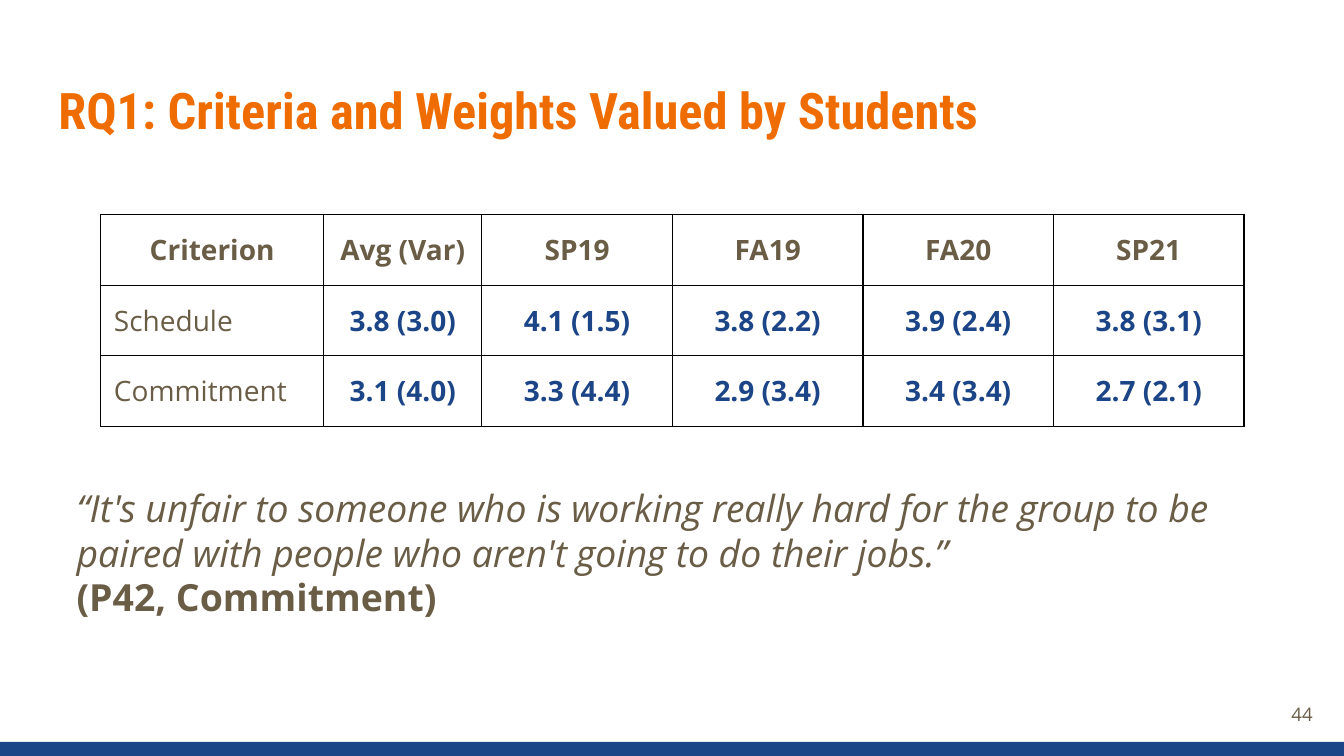
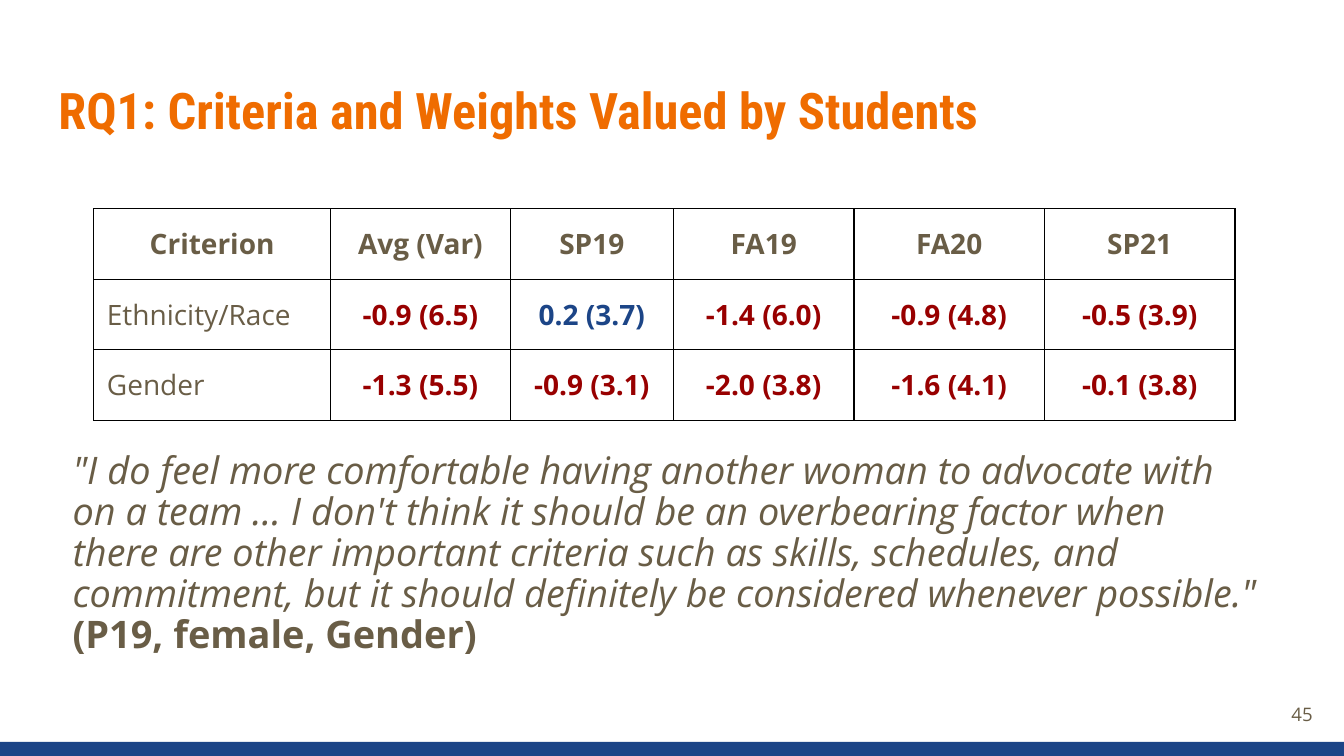
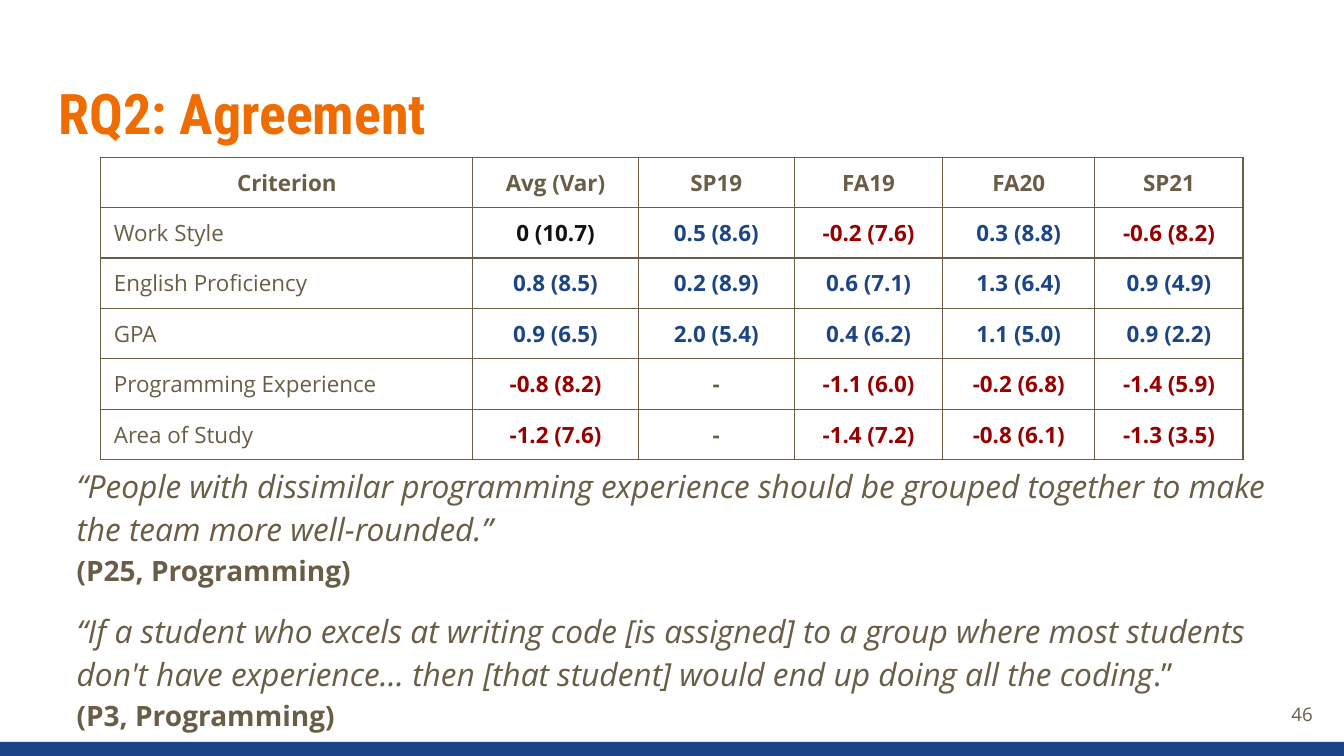
"""Build three slides on the criteria and weights that students value."""
import dataclasses

import lxml.etree
import pptx
import pptx.dml.color
import pptx.enum.shapes
import pptx.enum.text
import pptx.oxml.ns
import pptx.util

SCALE = 9144
INSET = 13
ALIGN = pptx.enum.text.PP_ALIGN
ANCHOR = pptx.enum.text.MSO_ANCHOR
HEADS = ["Criterion", "Avg (Var)", "SP19", "FA19", "FA20", "SP21"]


@dataclasses.dataclass(frozen=True)
class Theme:
    """Hold the colours, fonts and type sizes of the deck."""
    ink: str = "695D46"
    title: str = "EF6C00"
    plus: str = "1C4587"
    minus: str = "980000"
    zero: str = "111111"
    grid: str = "000000"
    head: str = "Roboto Condensed"
    body: str = "Open Sans"
    big: float = 40
    mid: float = 36
    cell: float = 20
    small: float = 16
    page: float = 13.3


THEME = Theme()


def px(*sizes):
    """Turn pixel lengths into EMU."""
    return [pptx.util.Emu(size * SCALE) for size in sizes]


def rgb(code):
    """Turn a hex code into a colour."""
    return pptx.dml.color.RGBColor.from_string(code)


def style(font, size, color=THEME.ink, name=THEME.body, bold=False, slant=False):
    """Set the look of a font."""
    font.name, font.size = name, pptx.util.Pt(size)
    font.bold, font.italic = bold, slant
    font.color.rgb = rgb(color)


def frame(shape, anchor=ANCHOR.TOP):
    """Give a shape's text frame the shared insets and return it."""
    text = shape.text_frame
    text.word_wrap = True
    text.auto_size = pptx.enum.text.MSO_AUTO_SIZE.NONE
    text.vertical_anchor = anchor
    (text.margin_left, text.margin_top,
     text.margin_right, text.margin_bottom) = px(*[INSET] * 4)
    return text


def start(deck, title, size, page):
    """Add a slide with its title, bottom band and page number."""
    slide = deck.slides.add_slide(deck.slide_layouts[5])
    head = slide.shapes.title
    head.left, head.top, head.width, head.height = px(45, 65, 1242, 103)
    para = frame(head).paragraphs[0]
    para.text, para.alignment = title, ALIGN.LEFT
    style(para.font, size, THEME.title, THEME.head, bold=True)

    band = slide.shapes.add_shape(
        pptx.enum.shapes.MSO_SHAPE.RECTANGLE, *px(0, 736, 1334, 14))
    band.shadow.inherit = False
    band.fill.solid()
    band.fill.fore_color.rgb = rgb(THEME.plus)
    band.line.fill.background()

    box = slide.shapes.add_textbox(*px(1235, 680, 80, 57))
    para = frame(box, ANCHOR.MIDDLE).paragraphs[0]
    para.text, para.alignment = str(page), ALIGN.RIGHT
    style(para.font, THEME.page)
    return slide


def border(cell, color):
    """Draw a one point line on each side of a cell."""
    props = cell._tc.get_or_add_tcPr()
    for spot, side in enumerate(("lnL", "lnR", "lnT", "lnB")):
        line = lxml.etree.Element(pptx.oxml.ns.qn("a:" + side), w="12700")
        fill = lxml.etree.SubElement(line, pptx.oxml.ns.qn("a:solidFill"))
        lxml.etree.SubElement(fill, pptx.oxml.ns.qn("a:srgbClr"), val=color)
        props.insert(spot, line)


def tint(value):
    """Choose a colour by the sign of a value."""
    if value == "-":
        return THEME.ink
    if value.startswith("0 "):
        return THEME.zero
    return THEME.minus if value.startswith("-") else THEME.plus


def grid(slide, left, top, widths, height, rows, size, color, pad):
    """Add a table of criteria under the shared heads."""
    rows = [HEADS] + rows
    shape = slide.shapes.add_table(
        len(rows), len(HEADS),
        *px(left, top, sum(widths), height * len(rows)))
    table = shape.table
    table.first_row = table.horz_banding = False
    for col, width in zip(table.columns, px(*widths)):
        col.width = width
    for y, row in enumerate(rows):
        table.rows[y].height = px(height)[0]
        for x, value in enumerate(row):
            cell = table.cell(y, x)
            cell.fill.background()
            border(cell, color)
            cell.vertical_anchor = ANCHOR.MIDDLE
            cell.margin_left, cell.margin_right = px(INSET, INSET)
            cell.margin_top, cell.margin_bottom = px(pad, pad)
            label = x == 0 and y > 0
            para = cell.text_frame.paragraphs[0]
            para.text = value
            para.alignment = ALIGN.LEFT if label else ALIGN.CENTER
            shade = tint(value) if x and y else THEME.ink
            style(para.font, size, shade, bold=not label)


def quote(slide, place, notes, size, small, space):
    """Add quotes, each with an upright tail and its bold source."""
    text = frame(slide.shapes.add_textbox(*px(*place)))
    for spot, (words, tail, source) in enumerate(notes):
        para = text.add_paragraph() if spot else text.paragraphs[0]
        para.line_spacing = space
        para.space_before = pptx.util.Pt(13.3 if spot else 0)
        para.add_run().text = words
        style(para.font, size, slant=True)
        if tail:
            run = para.add_run()
            run.text, run.font.italic = tail, False
        para = text.add_paragraph()
        para.text, para.line_spacing = source, space
        style(para.font, small, bold=True)


def main():
    """Build and save the deck."""
    deck = pptx.Presentation()
    deck.slide_width, deck.slide_height = px(1333, 750)
    weights = "RQ1: Criteria and Weights Valued by Students"

    slide = start(deck, weights, THEME.mid, 44)
    quote(slide, (63, 468, 1224, 198), [
        ("“It's unfair to someone who is working really hard for the group "
         "to be paired with people who aren't going to do their jobs.”",
         "", "(P42, Commitment)"),
    ], 26.7, 26.7, 1.0)
    grid(slide, 100, 213, [221, 157] + [189] * 4, 70, [
        ["Schedule", "3.8 (3.0)", "4.1 (1.5)", "3.8 (2.2)", "3.9 (2.4)", "3.8 (3.1)"],
        ["Commitment", "3.1 (4.0)", "3.3 (4.4)", "2.9 (3.4)", "3.4 (3.4)", "2.7 (2.1)"],
    ], THEME.cell, THEME.grid, INSET)

    slide = start(deck, weights, THEME.mid, 45)
    quote(slide, (59, 435, 1206, 254), [
        ("\"I do feel more comfortable having another woman to advocate with "
         "on a team … I don't think it should be an overbearing factor when "
         "there are other important criteria such as skills, schedules, and "
         "commitment, but it should definitely be considered whenever "
         "possible.\"", "", "(P19, female, Gender)"),
    ], 27.1, 27.1, 0.9)
    grid(slide, 93, 207, [235, 178, 162, 179, 189, 189], 70, [
        ["Ethnicity/Race", "-0.9 (6.5)", "0.2 (3.7)", "-1.4 (6.0)", "-0.9 (4.8)", "-0.5 (3.9)"],
        ["Gender", "-1.3 (5.5)", "-0.9 (3.1)", "-2.0 (3.8)", "-1.6 (4.1)", "-0.1 (3.8)"],
    ], THEME.cell, THEME.grid, INSET)

    slide = start(deck, "RQ2: Agreement", THEME.big, 46)
    quote(slide, (63, 444, 1242, 300), [
        ("“People with dissimilar programming experience should be grouped "
         "together to make the team more well-rounded.”",
         "", "(P25, Programming)"),
        ("“If a student who excels at writing code [is assigned] to a group "
         "where most students don't have experience… then [that student] "
         "would end up doing all the coding", ".”", "(P3, Programming)"),
    ], 22.7, 20, 1.15)
    grid(slide, 100, 156, [369, 164, 155, 147, 151, 147], 50, [
        ["Work Style", "0 (10.7)", "0.5 (8.6)", "-0.2 (7.6)", "0.3 (8.8)", "-0.6 (8.2)"],
        ["English Proficiency", "0.8 (8.5)", "0.2 (8.9)", "0.6 (7.1)", "1.3 (6.4)", "0.9 (4.9)"],
        ["GPA", "0.9 (6.5)", "2.0 (5.4)", "0.4 (6.2)", "1.1 (5.0)", "0.9 (2.2)"],
        ["Programming Experience", "-0.8 (8.2)", "-", "-1.1 (6.0)", "-0.2 (6.8)", "-1.4 (5.9)"],
        ["Area of Study", "-1.2 (7.6)", "-", "-1.4 (7.2)", "-0.8 (6.1)", "-1.3 (3.5)"],
    ], THEME.small, THEME.ink, 0)

    deck.save("out.pptx")


if __name__ == "__main__":
    main()
